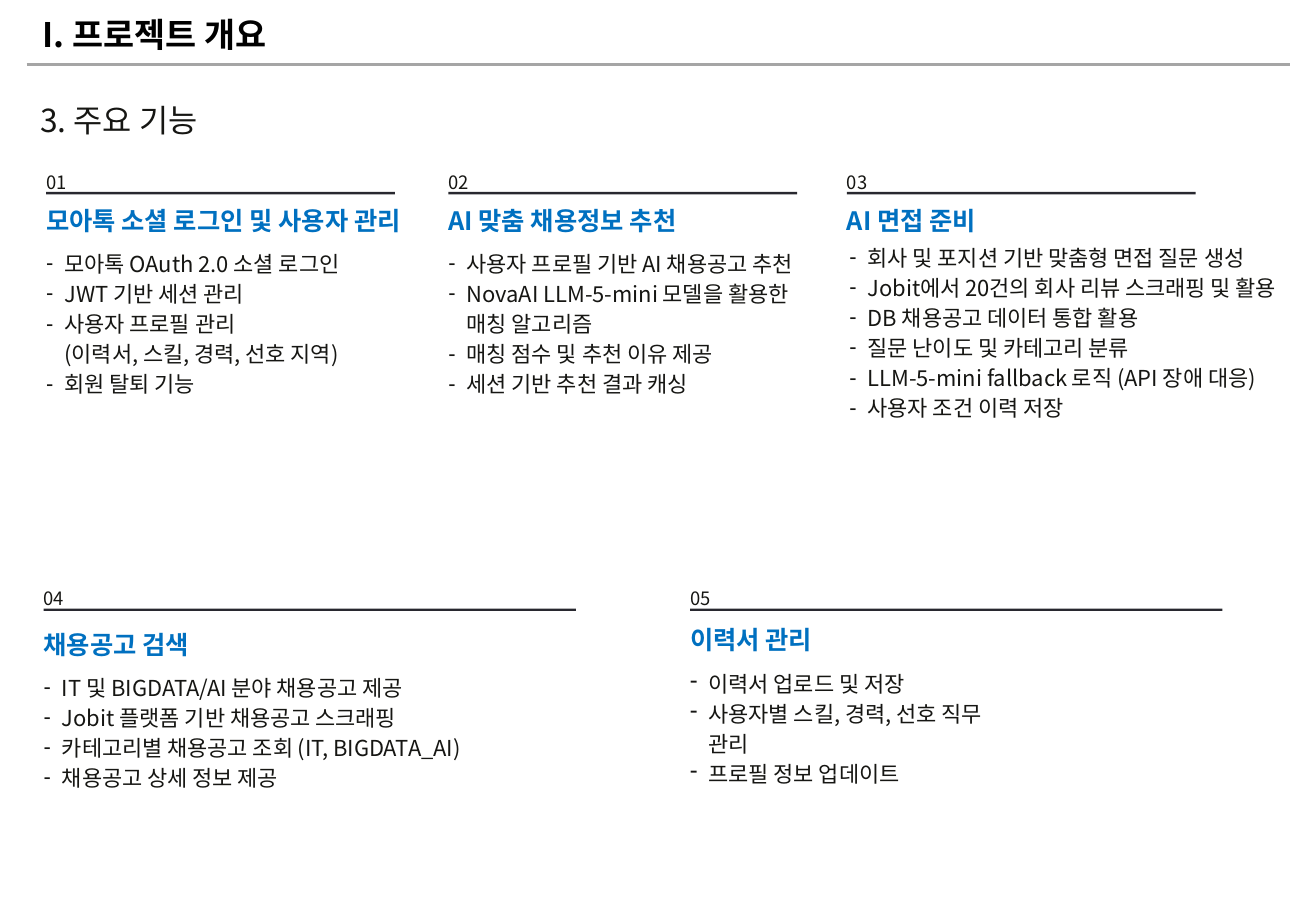
from dataclasses import dataclass

from lxml.etree import SubElement
from pptx import Presentation
from pptx.dml.color import RGBColor
from pptx.enum.shapes import MSO_CONNECTOR as Connector, MSO_SHAPE as Shape
from pptx.enum.text import MSO_ANCHOR as Anchor, MSO_AUTO_SIZE as AutoSize, PP_ALIGN as Align
from pptx.oxml.ns import qn
from pptx.util import Inches, Pt


@dataclass(frozen=True)
class Theme:
    font: str = "Noto Sans CJK KR"
    black: str = "000000"
    ink: str = "161613"
    accent: str = "0070C0"
    bar: str = "28282F"
    rule: str = "A5A5A5"
    title: float = 20
    section: float = 18.8
    heading: float = 15
    item: float = 13
    number: float = 10.9
    hang: float = 0.15


@dataclass(frozen=True)
class Feature:
    number: str
    heading: str
    left: float
    top: float
    bar_width: float
    heading_top: float
    list_left: float
    list_top: float
    list_width: float
    items: tuple


DETAIL = "detail"
ITEM = "item"

FEATURES = (
    Feature("01", "모아톡 소셜 로그인 및 사용자 관리", 0.38, 1.34, 2.87, 1.7, 0.38, 2.03, 2.87, (
        (ITEM, "모아톡 OAuth 2.0 소셜 로그인"),
        (ITEM, "JWT 기반 세션 관리"),
        (ITEM, "사용자 프로필 관리"),
        (DETAIL, "(이력서, 스킬, 경력, 선호 지역)"),
        (ITEM, "회원 탈퇴 기능"))),
    Feature("02", "AI 맞춤 채용정보 추천", 3.69, 1.34, 2.87, 1.7, 3.69, 2.03, 3.2, (
        (ITEM, "사용자 프로필 기반 AI 채용공고 추천"),
        (ITEM, "NovaAI LLM-5-mini 모델을 활용한"),
        (DETAIL, "매칭 알고리즘"),
        (ITEM, "매칭 점수 및 추천 이유 제공"),
        (ITEM, "세션 기반 추천 결과 캐싱"))),
    Feature("03", "AI 면접 준비", 6.97, 1.34, 2.87, 1.7, 6.99, 1.98, 3.8, (
        (ITEM, "회사 및 포지션 기반 맞춤형 면접 질문 생성"),
        (ITEM, "Jobit에서 20건의 회사 리뷰 스크래핑 및 활용"),
        (ITEM, "DB 채용공고 데이터 통합 활용"),
        (ITEM, "질문 난이도 및 카테고리 분류"),
        (ITEM, "LLM-5-mini fallback 로직 (API 장애 대응)"),
        (ITEM, "사용자 조건 이력 저장"))),
    Feature("04", "채용공고 검색", 0.36, 4.77, 4.38, 5.19, 0.36, 5.52, 4.38, (
        (ITEM, "IT 및 BIGDATA/AI 분야 채용공고 제공"),
        (ITEM, "Jobit 플랫폼 기반 채용공고 스크래핑"),
        (ITEM, "카테고리별 채용공고 조회 (IT, BIGDATA_AI)"),
        (ITEM, "채용공고 상세 정보 제공"))),
    Feature("05", "이력서 관리", 5.68, 4.77, 4.38, 5.15, 5.68, 5.49, 2.75, (
        (ITEM, "이력서 업로드 및 저장"),
        (ITEM, "사용자별 스킬, 경력, 선호 직무 관리"),
        (ITEM, "프로필 정보 업데이트"))),
)


class FeatureSlide:
    def __init__(self, deck, theme):
        self.theme = theme
        self.slide = deck.slides.add_slide(deck.slide_layouts.get_by_name("Comparison"))
        self.bodies = iter([holder for holder in self.slide.placeholders
                            if holder.placeholder_format.idx > 0])

    def place(self, box, left, top, width, height, inset=0):
        box.left, box.top = Inches(left), Inches(top)
        box.width, box.height = Inches(width), Inches(height)
        frame = box.text_frame
        frame.auto_size = AutoSize.NONE
        frame.word_wrap = True
        frame.vertical_anchor = Anchor.TOP
        frame.margin_left = frame.margin_right = Inches(inset)
        frame.margin_top = frame.margin_bottom = Inches(inset / 2)
        return frame

    def add_text(self, paragraph, text, size, color, bold=False, leading=None):
        paragraph.alignment = Align.LEFT
        paragraph.space_before = Pt(0)
        if leading:
            paragraph.line_spacing = Pt(leading)
        run = paragraph.add_run()
        run.text = text
        run.font.name = self.theme.font
        run.font.size = Pt(size)
        run.font.bold = bold
        run.font.color.rgb = RGBColor.from_string(color)
        east_asian = SubElement(run.font._element, qn("a:ea"))
        east_asian.set("typeface", self.theme.font)

    def title(self, text):
        frame = self.place(self.slide.shapes.title, 0.25, 0.06, 8.45, 0.5, inset=0.1)
        self.add_text(frame.paragraphs[0], text, self.theme.title, self.theme.black, bold=True)

    def label(self, text, left, top, width, height, size, color, leading, bold=False):
        box = self.slide.shapes.add_textbox(0, 0, 0, 0)
        frame = self.place(box, left, top, width, height)
        self.add_text(frame.paragraphs[0], text, size, color, bold, leading)

    def bullet(self, paragraph, kind):
        hang = Inches(self.theme.hang)
        properties = paragraph._p.get_or_add_pPr()
        properties.set("marL", str(hang))
        if kind == ITEM:
            properties.set("indent", str(-hang))
            SubElement(properties, qn("a:buChar")).set("char", "-")
        else:
            properties.set("indent", "0")
            SubElement(properties, qn("a:buNone"))

    def items(self, entries, left, top, width):
        leading = 17.8
        body = next(self.bodies, None) or self.slide.shapes.add_textbox(0, 0, 0, 0)
        frame = self.place(body, left, top, width, round(len(entries) * leading / 72 + 0.1, 2))
        for position, (kind, text) in enumerate(entries):
            paragraph = frame.add_paragraph() if position else frame.paragraphs[0]
            self.bullet(paragraph, kind)
            self.add_text(paragraph, text, self.theme.item, self.theme.ink, leading=leading)

    def bar(self, left, top, width):
        bar = self.slide.shapes.add_shape(
            Shape.RECTANGLE, Inches(left), Inches(top), Inches(width), Inches(0.02))
        bar.shadow.inherit = False
        bar.fill.solid()
        bar.fill.fore_color.rgb = RGBColor.from_string(self.theme.bar)
        bar.line.fill.background()

    def rule(self, left, right, top):
        rule = self.slide.shapes.add_connector(
            Connector.STRAIGHT, Inches(left), Inches(top), Inches(right), Inches(top))
        rule.line.color.rgb = RGBColor.from_string(self.theme.rule)
        rule.line.width = Pt(1.5)
        SubElement(rule._element.spPr, qn("a:effectLst"))

    def feature(self, feature):
        theme = self.theme
        self.label(feature.number, feature.left, feature.top, 0.4, 0.19,
                   theme.number, theme.ink, 17.8)
        self.bar(feature.left, feature.top + 0.24, feature.bar_width)
        self.label(feature.heading, feature.left, feature.heading_top, 3.2, 0.24,
                   theme.heading, theme.accent, 17.2, bold=True)
        self.items(feature.items, feature.list_left, feature.list_top, feature.list_width)


def main():
    deck = Presentation()
    deck.slide_width, deck.slide_height = Inches(10.83), Inches(7.5)
    theme = Theme()
    page = FeatureSlide(deck, theme)
    page.rule(0.22, 10.62, 0.53)
    page.title("I. 프로젝트 개요")
    page.label("3. 주요 기능", 0.33, 0.66, 3.88, 0.48, theme.section, theme.ink, 34.7)
    for feature in FEATURES:
        page.feature(feature)
    deck.save("out.pptx")


if __name__ == "__main__":
    main()
